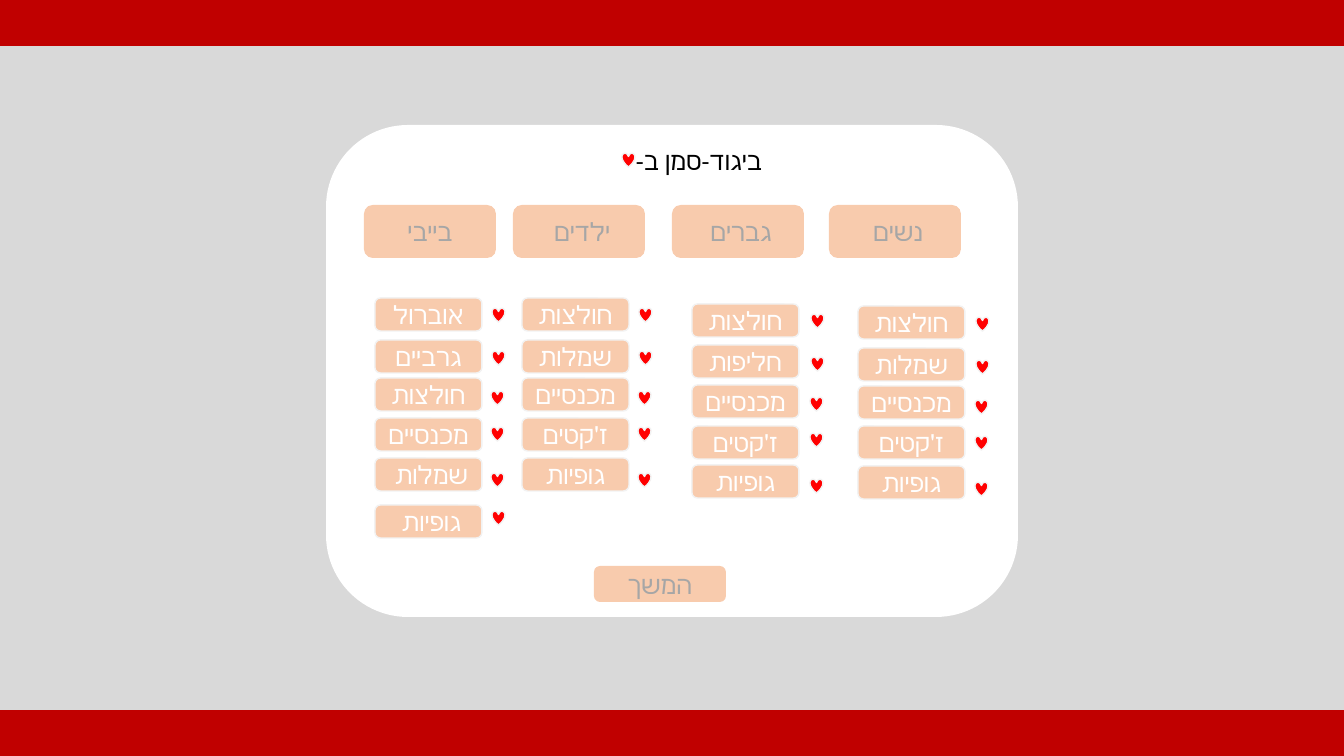
from pptx import Presentation
from pptx.dml.color import RGBColor
from pptx.enum.lang import MSO_LANGUAGE_ID
from pptx.enum.shapes import MSO_SHAPE
from pptx.enum.text import MSO_ANCHOR, MSO_AUTO_SIZE, PP_ALIGN
from pptx.util import Emu, Pt

RECTANGLE, ROUNDED, HEART = MSO_SHAPE.RECTANGLE, MSO_SHAPE.ROUNDED_RECTANGLE, MSO_SHAPE.HEART
CENTER, RIGHT = PP_ALIGN.CENTER, PP_ALIGN.RIGHT
MIDDLE, TOP = MSO_ANCHOR.MIDDLE, MSO_ANCHOR.TOP
FIXED_SIZE = MSO_AUTO_SIZE.NONE
HEBREW = MSO_LANGUAGE_ID.HEBREW

# Content: departments from right to left, with their garments
TITLE = "ביגוד-סמן ב- "
CONTINUE = "המשך"
STEPS = (0, 42, 80, 120, 160, 207)
MEN_STEPS = (0, 41, 81, 122, 161)
HEART_STEPS = (0, 43, 83, 119, 165, 203)
HEART_SHIFTS = (0, 0, -1, -1, -1, 0)
DEPARTMENTS = [
    {"name": "נשים ", "tab_x": 829, "item_x": 858, "item_y": 306, "steps": STEPS,
     "heart_x": 976, "heart_y": 317,
     "garments": ["חולצות", "שמלות", "מכנסיים", "ז'קטים", "גופיות"]},
    {"name": "גברים ", "tab_x": 672, "item_x": 692, "item_y": 304, "steps": MEN_STEPS,
     "heart_x": 811, "heart_y": 314,
     "garments": ["חולצות", "חליפות", "מכנסיים", "ז'קטים", "גופיות"]},
    {"name": "ילדים ", "tab_x": 513, "item_x": 522, "item_y": 298, "steps": STEPS,
     "heart_x": 639, "heart_y": 308,
     "garments": ["חולצות", "שמלות", "מכנסיים", "ז'קטים", "גופיות"]},
    {"name": "בייבי", "tab_x": 364, "item_x": 375, "item_y": 298, "steps": STEPS,
     "heart_x": 492, "heart_y": 308,
     "garments": ["אוברול", "גרביים", "חולצות", "מכנסיים", "שמלות ", "גופיות "]},
]

THEME = {
    "font": "Calibri", "size": 18, "background": "D9D9D9", "band": "C00000",
    "card": "FFFFFF", "button": "F8CBAD", "outline": "F2F2F2", "heart": "FF0000",
    "title": "000000", "tab_text": "A6A6A6", "item_text": "FFFFFF",
}

# Layout, in pixels
PIXEL = 914400 / 100.8
SLIDE_WIDTH, SLIDE_HEIGHT = 1344, 756
BAND_HEIGHT = 46
CARD = (326, 125, 692, 492)
TITLE_BOX = (612, 140, 160, 40)
TITLE_HEART = (622, 153)
TAB_Y, TAB_SIZE = 205, (132, 53)
ITEM_SIZE = (107, 33)
HEART_SIZE = (13, 14)
CONTINUE_BOX = (594, 566, 132, 36)


def px(value):
    return Emu(round(value * PIXEL))


def color(name):
    return RGBColor.from_string(THEME[name])


def apply(target, values):
    for name, value in values.items():
        setattr(target, name, value)


def add_shape(shapes, kind, box, fill, outline=None):
    shape = shapes.add_shape(kind, *map(px, box))
    shape.shadow.inherit = False
    shape.fill.solid()
    shape.fill.fore_color.rgb = color(fill)
    if outline:
        shape.line.color.rgb = color(outline)
        shape.line.width = Pt(1)
    else:
        shape.line.fill.background()
    return shape


def write(shape, text, text_color, frame_format):
    frame = shape.text_frame
    apply(frame, {"word_wrap": True, "auto_size": FIXED_SIZE, **frame_format})
    paragraph = frame.paragraphs[0]
    paragraph._p.get_or_add_pPr().set("rtl", "1")
    run = paragraph.add_run()
    run.text = text
    apply(run.font, {"size": Pt(THEME["size"]), "name": THEME["font"], "language_id": HEBREW})
    run.font.color.rgb = color(text_color)
    return paragraph


def add_button(shapes, box, text, text_color, outline=None):
    shape = add_shape(shapes, ROUNDED, box, "button", outline)
    frame_format = {"vertical_anchor": MIDDLE, "margin_left": 0, "margin_right": 0,
                    "margin_top": 0, "margin_bottom": 0}
    write(shape, text, text_color, frame_format).alignment = CENTER


def add_heart(shapes, x, y):
    add_shape(shapes, HEART, (x, y, *HEART_SIZE), "heart", "outline")


presentation = Presentation()
apply(presentation, {"slide_width": px(SLIDE_WIDTH), "slide_height": px(SLIDE_HEIGHT)})
slide = presentation.slides.add_slide(presentation.slide_layouts[5])
slide.background.fill.solid()
slide.background.fill.fore_color.rgb = color("background")
shapes = slide.shapes

# Bands and card
for band_y in (0, SLIDE_HEIGHT - BAND_HEIGHT):
    add_shape(shapes, RECTANGLE, (0, band_y, SLIDE_WIDTH, BAND_HEIGHT), "band")
card = add_shape(shapes, ROUNDED, CARD, "card")

# Title, lifted above the card
title = shapes.title
apply(title, dict(zip(("left", "top", "width", "height"), map(px, TITLE_BOX))))
write(title, TITLE, "title", {"vertical_anchor": TOP}).alignment = RIGHT
card.element.addnext(title.element)
add_heart(shapes, *TITLE_HEART)

# Department tabs, garments and their hearts
for department in DEPARTMENTS:
    add_button(shapes, (department["tab_x"], TAB_Y, *TAB_SIZE), department["name"], "tab_text")
    for garment, step in zip(department["garments"], department["steps"]):
        box = (department["item_x"], department["item_y"] + step, *ITEM_SIZE)
        add_button(shapes, box, garment, "item_text", "outline")
    hearts = shapes.add_group_shape().shapes
    for _, step, shift in zip(department["garments"], HEART_STEPS, HEART_SHIFTS):
        add_heart(hearts, department["heart_x"] + shift, department["heart_y"] + step)

# Continue button
add_button(shapes, CONTINUE_BOX, CONTINUE, "tab_text")

presentation.save("out.pptx")
